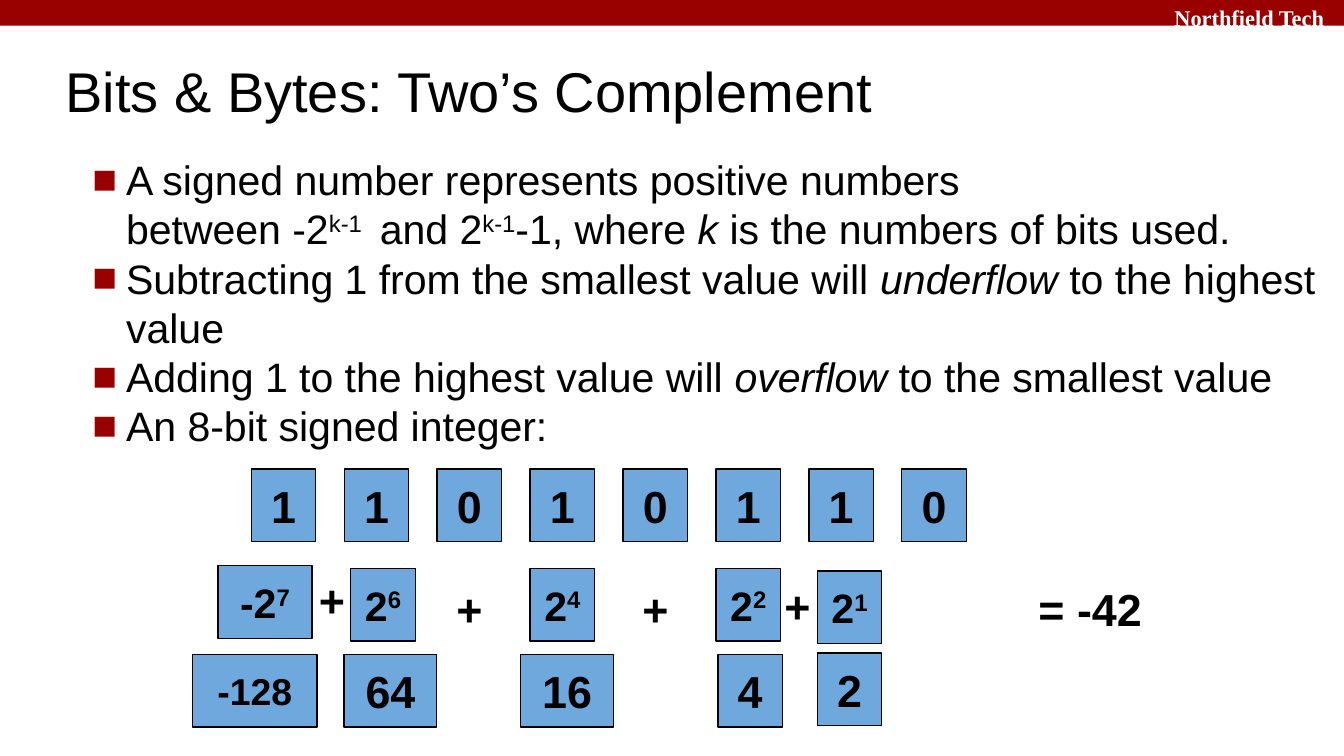
from dataclasses import dataclass

from lxml import etree
from pptx import Presentation
from pptx.dml.color import RGBColor
from pptx.enum.shapes import MSO_SHAPE
from pptx.enum.text import MSO_ANCHOR, PP_ALIGN
from pptx.oxml.ns import qn
from pptx.util import Inches, Pt

RECTANGLE = MSO_SHAPE.RECTANGLE
TOP, MIDDLE = MSO_ANCHOR.TOP, MSO_ANCHOR.MIDDLE
LEFT, CENTER = PP_ALIGN.LEFT, PP_ALIGN.CENTER


@dataclass(frozen=True)
class Theme:
    red: str = "990000"
    blue: str = "6FA8DC"
    black: str = "000000"
    white: str = "FFFFFF"
    font: str = "Arial"
    header_font: str = "Times New Roman"
    header_size: int = 12
    title_size: int = 30
    body_size: int = 22
    number_size: int = 24
    power_size: int = 22
    small_size: int = 20


THEME = Theme()

# Content. A run is (text, style), with style "", "super" or "italic".
HEADER = "Northfield Tech"
TITLE = "Bits & Bytes: Two’s Complement"
BULLETS = [
    [("A signed number represents positive numbers\vbetween -2", ""),
     ("k-1 ", "super"), (" and 2", ""), ("k-1", "super"), ("-1, where ", ""),
     ("k", "italic"), (" is the numbers of bits used.", "")],
    [("Subtracting 1 from the smallest value will ", ""),
     ("underflow", "italic"), (" to the highest value", "")],
    [("Adding 1 to the highest value will ", ""),
     ("overflow", "italic"), (" to the smallest value", "")],
    [("An 8-bit signed integer:", "")],
]
BITS = "11010110"
# Column of the centre, top, width, then the text
POWERS = [
    (-0.2, 4.21, 0.70, "-2", "7"),
    (1.07, 4.23, 0.48, "2", "6"),
    (3, 4.23, 0.48, "2", "4"),
    (5, 4.23, 0.48, "2", "2"),
    (6.09, 4.25, 0.48, "2", "1"),
]
OPERATORS = [
    (0.52, 4.16, 0.48, "+"),
    (2, 4.23, 0.48, "+"),
    (4, 4.23, 0.48, "+"),
    (5.53, 4.21, 0.48, "+"),
    (8.68, 4.23, 1.40, "= -42"),
]
VALUES = [
    (-0.31, 4.87, 0.93, "-128", THEME.small_size),
    (1.15, 4.87, 0.69, "64", THEME.number_size),
    (3.05, 4.87, 0.69, "16", THEME.number_size),
    (5.02, 4.87, 0.48, "4", THEME.number_size),
    (6.09, 4.86, 0.48, "2", THEME.number_size),
]

# Grid of bit columns
FIRST_CENTER, LAST_CENTER = 2.11, 6.95
PITCH = (LAST_CENTER - FIRST_CENTER) / (len(BITS) - 1)
BIT_TOP, BIT_WIDTH, BOX_HEIGHT = 3.49, 0.48, 0.54


def set_attributes(target, values):
    for name, value in values.items():
        setattr(target, name, value)


def add_box(slide, area, fill=None, outline=None):
    lengths = [Inches(length) for length in area]
    if fill is None:
        return slide.shapes.add_textbox(*lengths)
    shape = slide.shapes.add_shape(RECTANGLE, *lengths)
    shape.shadow.inherit = False
    shape.fill.solid()
    shape.fill.fore_color.rgb = RGBColor.from_string(fill)
    if outline:
        shape.line.color.rgb = RGBColor.from_string(outline)
        shape.line.width = Pt(0.75)
    else:
        shape.line.fill.background()
    return shape


def write(shape, paragraphs, size, color=THEME.black, font=THEME.font,
          bold=False, align=LEFT, anchor=TOP, wrap=True, inset=0.1):
    frame = shape.text_frame
    set_attributes(frame, {
        "word_wrap": wrap, "vertical_anchor": anchor,
        "margin_left": Inches(0.1), "margin_right": Inches(0.1),
        "margin_top": Inches(inset), "margin_bottom": Inches(inset)})
    for index, runs in enumerate(paragraphs):
        paragraph = frame.add_paragraph() if index else frame.paragraphs[0]
        paragraph.alignment = align
        for text, style in runs:
            for part, line in enumerate(text.split("\v")):
                if part:
                    paragraph.add_line_break()
                run = paragraph.add_run()
                run.text = line
                set_attributes(run.font, {
                    "name": font, "size": Pt(size), "bold": bold,
                    "italic": style == "italic"})
                run.font.color.rgb = RGBColor.from_string(color)
                if style == "super":
                    run.font._element.set("baseline", "30000")
    return frame


def add_bullet(paragraph):
    properties = paragraph._p.get_or_add_pPr()
    properties.set("marL", str(Inches(0.5)))
    properties.set("indent", str(Inches(-0.25)))
    color = etree.SubElement(properties, qn("a:buClr"))
    etree.SubElement(color, qn("a:srgbClr"), val=THEME.red)
    etree.SubElement(properties, qn("a:buFont"), typeface=THEME.font)
    etree.SubElement(properties, qn("a:buChar"), char="■")


def add_cell(slide, column, top, width, runs, size, boxed=True):
    """Place bold text centred on a bit column, in a blue box if boxed."""
    left = FIRST_CENTER + column * PITCH - width / 2
    colors = (THEME.blue, THEME.black) if boxed else ()
    shape = add_box(slide, (left, top, width, BOX_HEIGHT), *colors)
    write(shape, [runs], size, bold=True, align=CENTER,
          anchor=MIDDLE if boxed else TOP)


def main():
    presentation = Presentation()
    presentation.slide_width = Inches(10)
    presentation.slide_height = presentation.slide_width * 9 // 16
    slide = presentation.slides.add_slide(presentation.slide_layouts[6])

    add_box(slide, (0, 0, 10, 0.19), THEME.red)
    write(add_box(slide, (8.64, -0.02, 1.43, 0.23)), [[(HEADER, "")]],
          THEME.header_size, THEME.white, THEME.header_font,
          bold=True, wrap=False, inset=0.05)
    write(add_box(slide, (0.39, 0.36, 8.3, 0.62)), [[(TITLE, "")]],
          THEME.title_size, anchor=MIDDLE)
    body = write(add_box(slide, (0.34, 1.05, 9.57, 3.87)), BULLETS,
                 THEME.body_size)
    for paragraph in body.paragraphs:
        add_bullet(paragraph)

    for column, bit in enumerate(BITS):
        add_cell(slide, column, BIT_TOP, BIT_WIDTH, [(bit, "")],
                 THEME.number_size)
    for column, top, width, base, exponent in POWERS:
        add_cell(slide, column, top, width, [(base, ""), (exponent, "super")],
                 THEME.power_size)
    for column, top, width, text in OPERATORS:
        add_cell(slide, column, top, width, [(text, "")],
                 THEME.number_size, boxed=False)
    for column, top, width, text, size in VALUES:
        add_cell(slide, column, top, width, [(text, "")], size)

    presentation.save("out.pptx")


if __name__ == "__main__":
    main()
